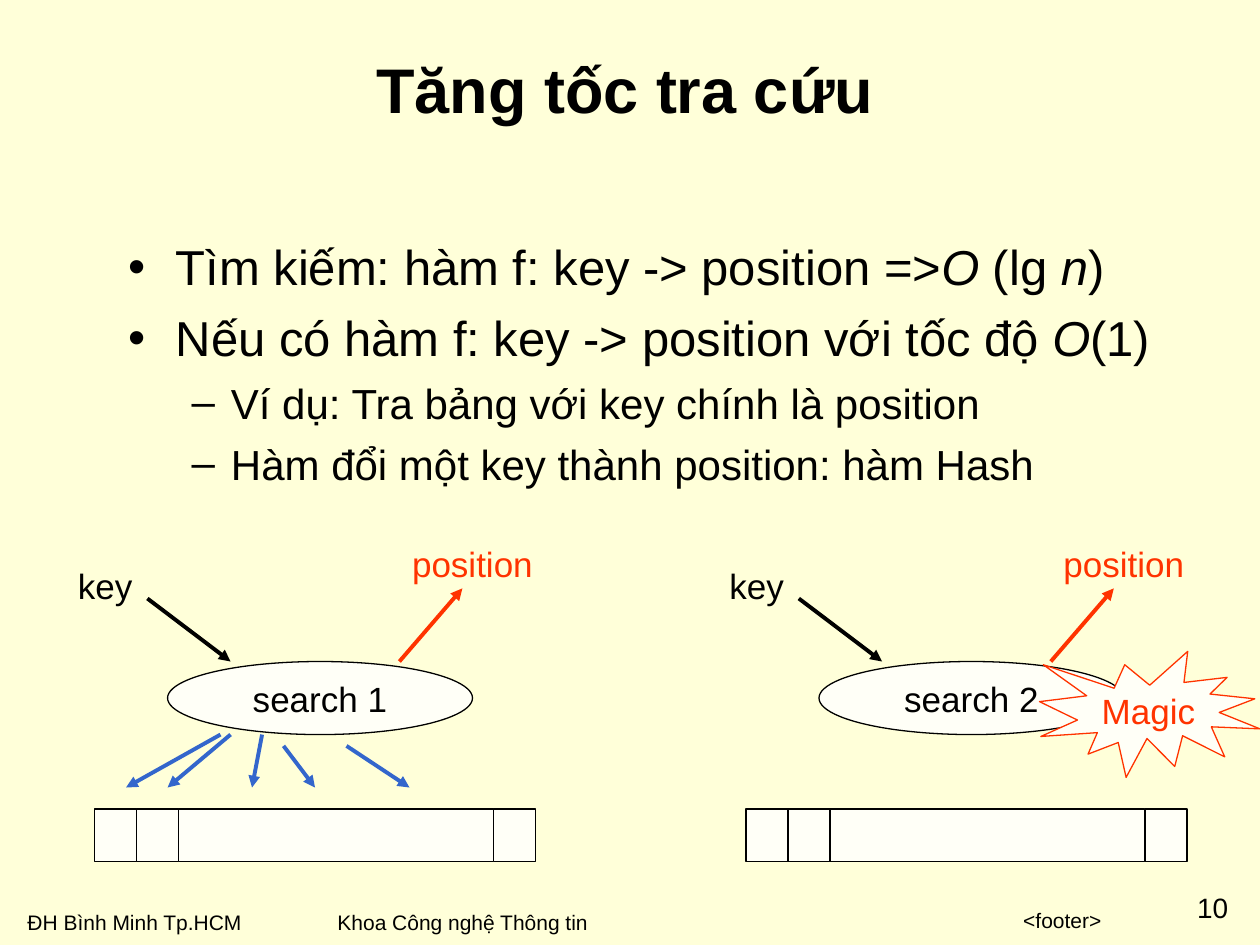
from dataclasses import dataclass
from itertools import accumulate

from lxml import etree
from pptx import Presentation
from pptx.dml.color import RGBColor
from pptx.enum import shapes, text
from pptx.oxml import ns
from pptx.util import Inches, Pt


@dataclass(frozen=True)
class Theme:
    """Colours, font and type sizes of the slide."""
    background: str = "FFFFD9"
    panel: str = "FFFFF7"
    ink: str = "000000"
    accent: str = "FF3300"
    probe: str = "3366CC"
    font: str = "Arial"
    title: int = 36
    bullet: int = 28
    detail: int = 24
    label: int = 20
    number: int = 16
    footer: int = 12
    outline: float = 0.75
    arrow: float = 2.25


THEME = Theme()
ALIGN = text.PP_ALIGN
ANCHOR = text.MSO_ANCHOR


def color(value):
    """Turn a hex string into a colour."""
    return RGBColor.from_string(value)


def write(paragraph, content, size=THEME.label, ink=THEME.ink, bold=False,
          align=ALIGN.LEFT, before=None):
    """Write text into a paragraph, setting the parts between asterisks in italics."""
    paragraph.alignment = align
    if before is not None:
        paragraph.space_before = Pt(before)
    for index, part in enumerate(content.split("*")):
        run = paragraph.add_run()
        run.text = part
        font = run.font
        font.name, font.size, font.bold = THEME.font, Pt(size), bold
        font.italic = index % 2 == 1
        font.color.rgb = color(ink)


def place(shape, left, top, width, height):
    """Move a shape to a box given in inches."""
    shape.left, shape.top = Inches(left), Inches(top)
    shape.width, shape.height = Inches(width), Inches(height)


def add_label(slide, content, box, wrap=False, margin=None, **style):
    """Add a text box."""
    label = slide.shapes.add_textbox(*map(Inches, box))
    frame = label.text_frame
    frame.word_wrap = wrap
    if margin is not None:
        frame.margin_left = frame.margin_right = Inches(margin)
        frame.margin_top = frame.margin_bottom = Inches(margin)
    write(frame.paragraphs[0], content, **style)


def add_panel(parent, kind, box, content="", ink=THEME.ink, line=THEME.ink):
    """Add an outlined preset shape with optional centred text."""
    panel = parent.shapes.add_shape(kind, *map(Inches, box))
    panel.shadow.inherit = False
    panel.fill.solid()
    panel.fill.fore_color.rgb = color(THEME.panel)
    panel.line.color.rgb = color(line)
    panel.line.width = Pt(THEME.outline)
    if content:
        frame = panel.text_frame
        frame.word_wrap = False
        frame.vertical_anchor = ANCHOR.MIDDLE
        write(frame.paragraphs[0], content, ink=ink, align=ALIGN.CENTER)


def add_arrow(slide, left, top, points, ink):
    """Add an arrow between two points relative to a corner."""
    x1, y1, x2, y2 = points
    arrow = slide.shapes.add_connector(
        shapes.MSO_CONNECTOR.STRAIGHT, Inches(left + x1), Inches(top + y1),
        Inches(left + x2), Inches(top + y2))
    arrow.line.color.rgb = color(ink)
    arrow.line.width = Pt(THEME.arrow)
    properties = arrow.element.spPr
    line = properties.find(ns.qn("a:ln"))
    etree.SubElement(line, ns.qn("a:tailEnd"), type="triangle")
    etree.SubElement(properties, ns.qn("a:effectLst"))


def add_title(slide, content, box):
    """Fill the title placeholder."""
    title = slide.shapes.title
    place(title, *box)
    frame = title.text_frame
    frame.auto_size = text.MSO_AUTO_SIZE.NONE
    frame.vertical_anchor = ANCHOR.MIDDLE
    write(frame.paragraphs[0], content, size=THEME.title, bold=True, align=ALIGN.CENTER)


def add_bullets(slide, items, box):
    """Fill the body placeholder with a two-level list."""
    body = slide.placeholders[1]
    place(body, *box)
    frame = body.text_frame
    frame.auto_size = text.MSO_AUTO_SIZE.NONE
    styles = ((THEME.bullet, 7), (THEME.detail, 6))
    for index, (level, content) in enumerate(items):
        paragraph = frame.add_paragraph() if index else frame.paragraphs[0]
        paragraph.level = level
        size, before = styles[level]
        write(paragraph, content, size=size, before=before)


def add_cells(slide, left, top):
    """Add the grouped row of table cells."""
    row = slide.shapes.add_group_shape()
    widths = (1 / 3, 1 / 3, 2.5, 1 / 3)
    for offset, width in zip(accumulate(widths, initial=0), widths):
        add_panel(row, shapes.MSO_SHAPE.RECTANGLE, (left + offset, top, width, 0.42))


def add_search(slide, left, top, name, probes=(), magic=False):
    """Draw one search diagram from its top left corner."""
    add_cells(slide, left + 0.25, top + 2.17)
    add_panel(slide, shapes.MSO_SHAPE.OVAL, (left + 0.83, top + 1, 2.42, 0.58), name)
    add_label(slide, "key", (left + 0.02, top + 0.18, 0.63, 0.44), align=ALIGN.CENTER)
    add_label(slide, "position", (left + 2.67, top + 0.01, 1.16, 0.44),
              ink=THEME.accent, align=ALIGN.CENTER)
    add_arrow(slide, left, top, (0.67, 0.5, 1.33, 1), THEME.ink)
    add_arrow(slide, left, top, (2.67, 1, 3.17, 0.42), THEME.accent)
    for points in probes:
        add_arrow(slide, left, top, points, THEME.probe)
    if magic:
        add_panel(slide, shapes.MSO_SHAPE.EXPLOSION1, (left + 2.58, top + 0.92, 1.75, 1),
                  "Magic", ink=THEME.accent, line=THEME.accent)


def add_footer(slide, top):
    """Add the footer line and the page number."""
    size = THEME.footer
    add_label(slide, "ĐH Bình Minh Tp.HCM", (0.12, top + 0.02, 1.97, 0.3), size=size)
    add_label(slide, "<footer>", (3.17, top, 5.67, 0.3), wrap=True, size=size,
              align=ALIGN.RIGHT)
    add_label(slide, "10", (9.41, top - 0.08, 0.43, 0.27), wrap=True, margin=0,
              size=THEME.number, align=ALIGN.CENTER)
    add_label(slide, "Khoa Công nghệ Thông tin", (2.58, top + 0.02, 2.19, 0.3), size=size)


def main():
    """Build and save the slide."""
    presentation = Presentation()
    presentation.slide_width, presentation.slide_height = Inches(10), Inches(7.5)
    slide = presentation.slides.add_slide(presentation.slide_layouts[1])
    slide.background.fill.solid()
    slide.background.fill.fore_color.rgb = color(THEME.background)
    add_footer(slide, 7.15)
    add_title(slide, "Tăng tốc tra cứu", (0.92, 0.08, 8.08, 1.25))
    add_bullets(slide, (
        (0, "Tìm kiếm: hàm f: key -> position =>*O* (lg *n*)"),
        (0, "Nếu có hàm f: key -> position với tốc độ *O*(1)"),
        (1, "Ví dụ: Tra bảng với key chính là position"),
        (1, "Hàm đổi một key thành position: hàm Hash"),
    ), (0.92, 1.83, 8.92, 5.08))
    probes = ((1.25, 1.58, 0.5, 2), (1.33, 1.58, 0.83, 2), (1.58, 1.58, 1.5, 2),
              (1.75, 1.67, 2, 2), (2.25, 1.67, 2.75, 2))
    add_search(slide, 0.5, 4.25, "search 1", probes=probes)
    add_search(slide, 5.67, 4.25, "search 2", magic=True)
    presentation.save("out.pptx")


if __name__ == "__main__":
    main()
